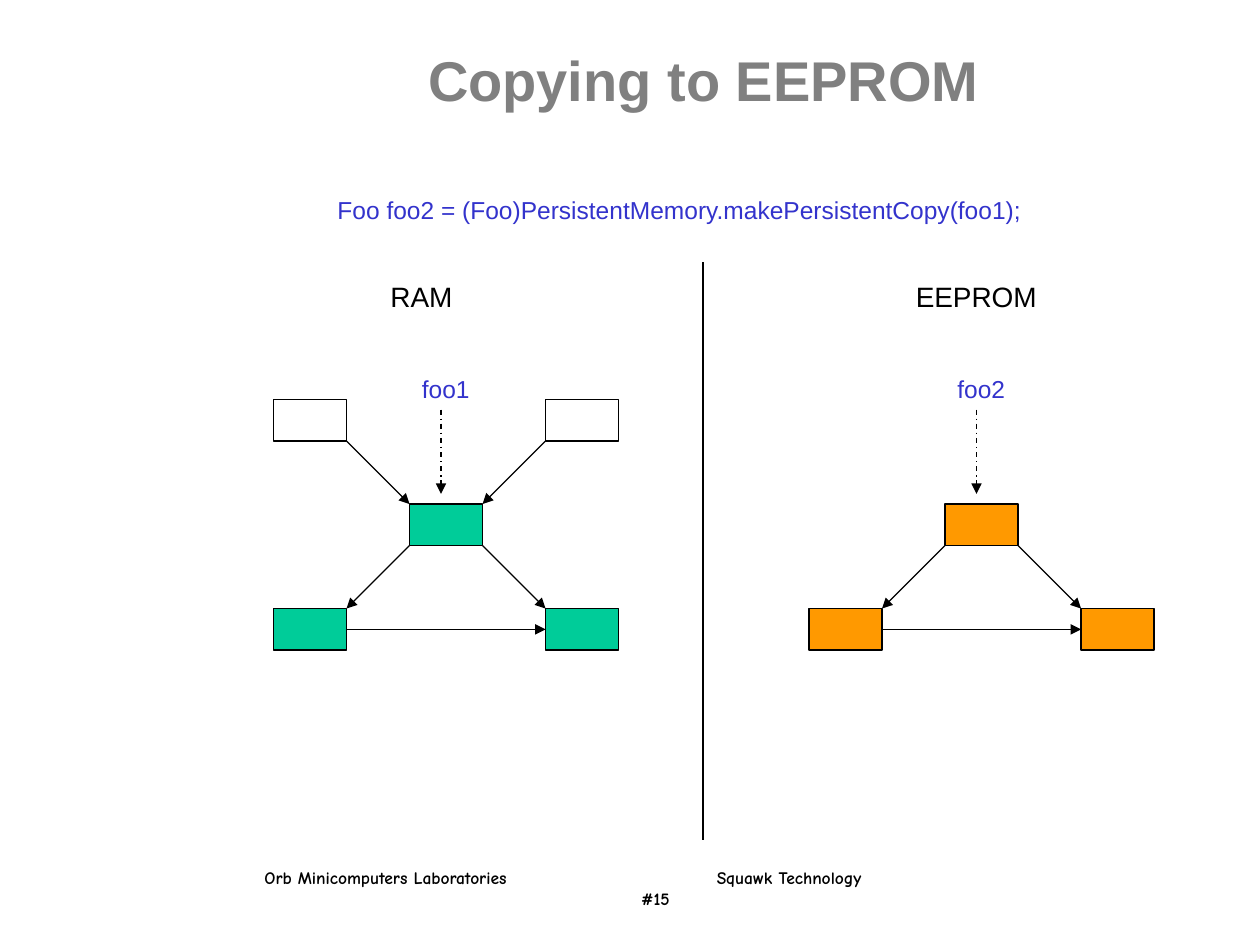
import pptx
import pptx.dml.color
import pptx.enum.dml
import pptx.enum.shapes
import pptx.enum.text
import pptx.oxml.ns
import pptx.util
from lxml import etree
from pptx.util import Inches

BOX_WIDTH, BOX_HEIGHT = 0.58, 0.33
COLUMN_STEP = 1.08
TOP_ROW, MIDDLE_ROW, BOTTOM_ROW = 3.17, 4, 4.83
BLACK, BLUE, GRAY = "000000", "3333CC", "808080"
GREEN, ORANGE = "00CC99", "FF9900"


def color(hex_string):
    return pptx.dml.color.RGBColor.from_string(hex_string)


def add_text(page, text, place, size, hex_string, font="Arial", bold=False, wrap=False):
    box = page.shapes.add_textbox(*map(Inches, place))
    frame = box.text_frame
    frame.word_wrap = wrap
    frame.text = text
    for para in frame.paragraphs:
        for span in para.runs:
            span.font.name = font
            span.font.size = pptx.util.Pt(size)
            span.font.bold = bold
            span.font.color.rgb = color(hex_string)
    return frame


def add_tab_stop(para, position):
    tabs = etree.SubElement(para._p.get_or_add_pPr(), pptx.oxml.ns.qn("a:tabLst"))
    etree.SubElement(tabs, pptx.oxml.ns.qn("a:tab"), pos=str(Inches(position)), algn="l")


def add_box(page, left, top, fill=None):
    place = map(Inches, (left, top, BOX_WIDTH, BOX_HEIGHT))
    box = page.shapes.add_shape(pptx.enum.shapes.MSO_SHAPE.RECTANGLE, *place)
    box.shadow.inherit = False
    if fill:
        box.fill.solid()
        box.fill.fore_color.rgb = color(fill)
    else:
        box.fill.background()
    box.line.color.rgb = color(BLACK)
    box.line.width = pptx.util.Pt(0.75)
    return box


def add_line(page, start, end, arrow=True, dashed=False):
    line = page.shapes.add_connector(
        pptx.enum.shapes.MSO_CONNECTOR.STRAIGHT, *map(Inches, start + end))
    line.line.color.rgb = color(BLACK)
    line.line.width = pptx.util.Pt(0.75)
    if dashed:
        line.line.dash_style = pptx.enum.dml.MSO_LINE.DASH_DOT
    if arrow:
        outline = line.line._get_or_add_ln()
        etree.SubElement(outline, pptx.oxml.ns.qn("a:tailEnd"), type="triangle")
    etree.SubElement(line._element.spPr, pptx.oxml.ns.qn("a:effectLst"))
    return line


def add_object_graph(page, left, fill, variable):
    middle, right = left + COLUMN_STEP, left + 2 * COLUMN_STEP
    add_box(page, middle, MIDDLE_ROW, fill)
    left_child = add_box(page, left, BOTTOM_ROW, fill)
    right_child = add_box(page, right, BOTTOM_ROW, fill)
    add_text(page, variable, (middle, 2.92, BOX_WIDTH, 0.34), 14, BLUE)

    root_bottom = MIDDLE_ROW + BOX_HEIGHT
    add_line(page, (middle + BOX_WIDTH, root_bottom), (right, BOTTOM_ROW))
    add_line(page, (middle, root_bottom), (left + BOX_WIDTH, BOTTOM_ROW))
    sibling_link = add_line(page, (left + BOX_WIDTH, 5), (right, 5))
    sibling_link.begin_connect(left_child, 3)
    sibling_link.end_connect(right_child, 1)
    add_line(page, (middle + 0.25, 3.25), (middle + 0.25, 3.92), dashed=True)


def add_referrers(page, left):
    middle, right = left + COLUMN_STEP, left + 2 * COLUMN_STEP
    bottom = TOP_ROW + BOX_HEIGHT
    add_box(page, left, TOP_ROW)
    add_box(page, right, TOP_ROW)
    add_line(page, (left + BOX_WIDTH, bottom), (middle, MIDDLE_ROW))
    add_line(page, (right, bottom), (middle + BOX_WIDTH, MIDDLE_ROW))


def add_footer(page):
    text = "Orb Minicomputers Laboratories\tSquawk Technology\n\t#15"
    frame = add_text(page, text, (2, 6.83, 6.29, 0.44), 10, BLACK,
                     font="Comic Neue", bold=True, wrap=True)
    for para, position in zip(frame.paragraphs, (3.59, 2.99)):
        add_tab_stop(para, position)


def main():
    deck = pptx.Presentation()
    deck.slide_width, deck.slide_height = Inches(10), Inches(7.5)
    page = deck.slides.add_slide(deck.slide_layouts[6])

    add_footer(page)
    title = add_text(page, "Copying to EEPROM", (1.75, 0.17, 7.67, 0.92), 32, GRAY,
                     bold=True, wrap=True)
    title.vertical_anchor = pptx.enum.text.MSO_ANCHOR.MIDDLE
    title.paragraphs[0].alignment = pptx.enum.text.PP_ALIGN.CENTER
    add_text(page, "Foo foo2 = (Foo)PersistentMemory.makePersistentCopy(foo1);",
             (2.58, 1.5, 6.42, 0.25), 14, BLUE, wrap=True)

    ram_left, eeprom_left = 2.17, 6.42
    add_referrers(page, ram_left)
    add_object_graph(page, ram_left, GREEN, "foo1")
    add_object_graph(page, eeprom_left, ORANGE, "foo2")

    add_line(page, (5.58, 2.08), (5.58, 6.67), arrow=False)
    add_text(page, "RAM", (3, 2.17, 0.69, 0.37), 16, BLACK)
    add_text(page, "EEPROM", (7.17, 2.17, 1.16, 0.37), 16, BLACK)
    deck.save("out.pptx")


if __name__ == "__main__":
    main()
